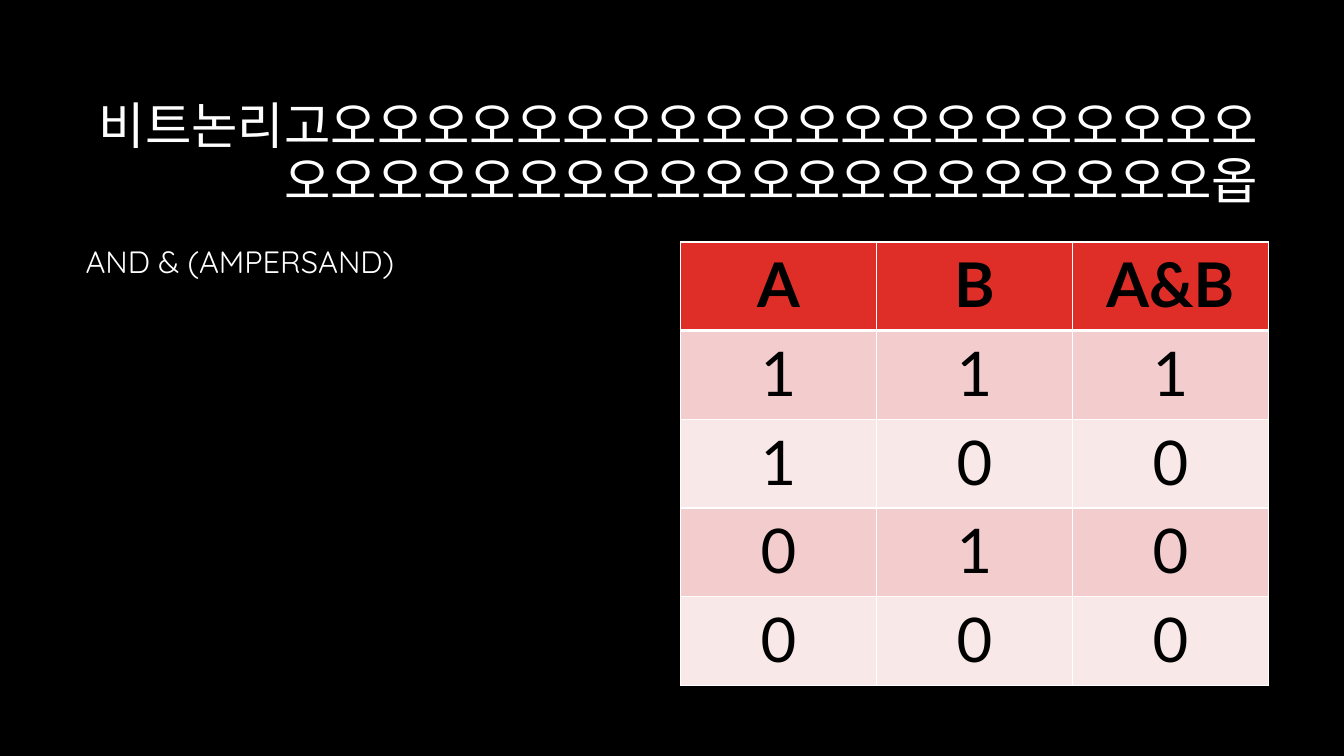
from lxml import etree
from pptx import Presentation
from pptx.dml.color import RGBColor
from pptx.enum.text import MSO_ANCHOR, PP_ALIGN
from pptx.oxml.ns import qn
from pptx.util import Inches, Pt

BLACK = RGBColor(0x00, 0x00, 0x00)
WHITE = RGBColor(0xFF, 0xFF, 0xFF)
RED = RGBColor(0xDF, 0x2E, 0x28)
BANDS = (RGBColor(0xF3, 0xCD, 0xCD), RGBColor(0xF9, 0xE8, 0xE8))

TITLE = "비트논리고" + "오" * 40 + "옵"
TRUTH_TABLE = [
    ("A", "B", "A&B"),
    ("1", "1", "1"),
    ("1", "0", "0"),
    ("0", "1", "0"),
    ("0", "0", "0"),
]


def write(tf, text, size, font="Quicksand", color=WHITE, bold=False,
          align=PP_ALIGN.LEFT, spacing=None, before=0):
    p = tf.paragraphs[0]
    p.alignment = align
    p.line_spacing = spacing
    p.space_before = Pt(before)
    r = p.add_run()
    r.text = text
    r.font.name = font
    r.font.size = Pt(size)
    r.font.bold = bold
    r.font.color.rgb = color


def add_title(slide, left, top, width, height):
    sp = slide.shapes.title
    sp.left, sp.top, sp.width, sp.height = map(Inches, (left, top, width, height))
    tf = sp.text_frame
    tf.word_wrap = True
    tf.vertical_anchor = MSO_ANCHOR.MIDDLE
    write(tf, TITLE, 36, align=PP_ALIGN.RIGHT, spacing=0.9)


def add_body(slide, left, top, width, height):
    sp = slide.shapes.add_textbox(*map(Inches, (left, top, width, height)))
    tf = sp.text_frame
    tf.word_wrap = True
    write(tf, "AND & (AMPERSAND)", 22, spacing=0.9, before=10)


def set_borders(cell, **widths):
    """Draw white borders; widths are points keyed by side, in L, R, T, B order."""
    tc_pr = cell._tc.get_or_add_tcPr()
    for side, width in widths.items():
        ln = etree.SubElement(tc_pr, qn(f"a:ln{side}"), w=str(Pt(width)))
        fill = etree.SubElement(ln, qn("a:solidFill"))
        etree.SubElement(fill, qn("a:srgbClr"), val=str(WHITE))


def add_truth_table(slide, left, top, width, height):
    n_rows, n_cols = len(TRUTH_TABLE), len(TRUTH_TABLE[0])
    box = map(Inches, (left, top, width, height))
    table = slide.shapes.add_table(n_rows, n_cols, *box).table
    for i, values in enumerate(TRUTH_TABLE):
        header = i == 0
        for j, value in enumerate(values):
            cell = table.cell(i, j)
            set_borders(cell, L=1, R=1, T=3 if i == 1 else 1, B=3 if header else 1)
            cell.fill.solid()
            cell.fill.fore_color.rgb = RED if header else BANDS[(i - 1) % 2]
            write(cell.text_frame, value, 44, font="Lato", color=BLACK,
                  bold=header, align=PP_ALIGN.CENTER)


def main():
    prs = Presentation()
    prs.slide_width, prs.slide_height = Inches(13.33), Inches(7.5)
    slide = prs.slides.add_slide(prs.slide_layouts[5])
    slide.background.fill.solid()
    slide.background.fill.fore_color.rgb = BLACK
    add_title(slide, 0.56, 0.84, 12.02, 1.41)
    add_body(slide, 0.75, 2.4, 5.83, 4.4)
    add_truth_table(slide, 6.75, 2.4, 5.83, 4.4)
    prs.save("out.pptx")


if __name__ == "__main__":
    main()
